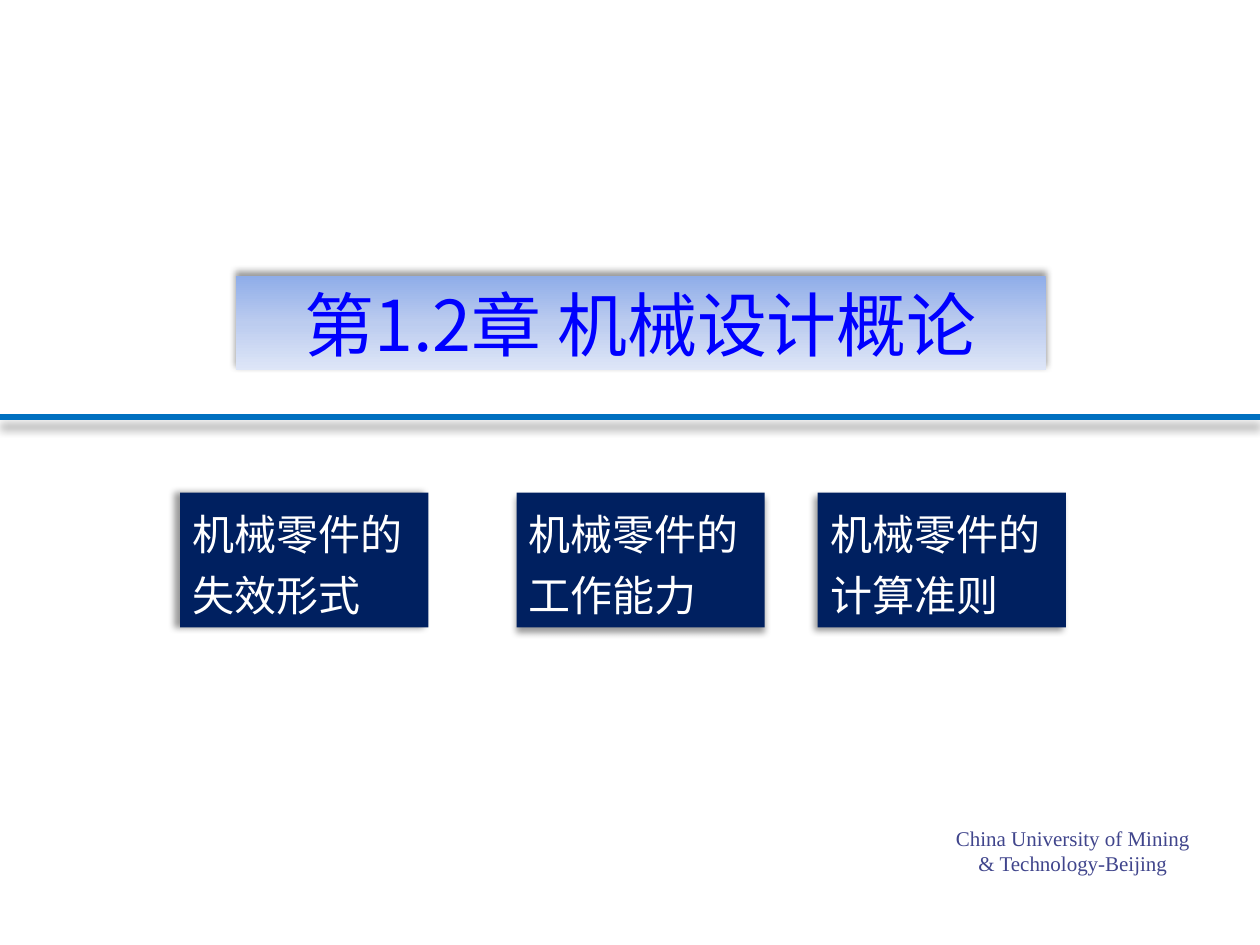
from lxml import etree
from copy import deepcopy
from pptx import Presentation
from pptx.dml.color import RGBColor
from pptx.enum.shapes import MSO_CONNECTOR, MSO_SHAPE
from pptx.enum.text import MSO_ANCHOR, PP_ALIGN
from pptx.oxml.ns import qn
from pptx.util import Inches, Pt

RECTANGLE = MSO_SHAPE.RECTANGLE
STRAIGHT = MSO_CONNECTOR.STRAIGHT
LEFT, CENTER = PP_ALIGN.LEFT, PP_ALIGN.CENTER
TOP, MIDDLE = MSO_ANCHOR.TOP, MSO_ANCHOR.MIDDLE
CJK_FONT = "Noto Sans CJK SC"
LATIN_FONT = "Times New Roman"


def color(value):
    return RGBColor.from_string(value)


def add_shadow(element, blur, distance, angle):
    effects = etree.SubElement(element._element.spPr, qn("a:effectLst"))
    shadow = etree.SubElement(
        effects, qn("a:outerShdw"), blurRad=str(Pt(blur)), dist=str(Pt(distance)),
        dir=str(angle * 60000), rotWithShape="0")
    black = etree.SubElement(shadow, qn("a:srgbClr"), val="000000")
    etree.SubElement(black, qn("a:alpha"), val="40000")


def write_text(holder, text, size=24, font=CJK_FONT, ink="FFFFFF",
               align=LEFT, anchor=TOP, spacing=None):
    frame = holder.text_frame
    frame.word_wrap = True
    frame.vertical_anchor = anchor
    frame.text = text
    for paragraph in frame.paragraphs:
        paragraph.alignment = align
        paragraph.line_spacing = spacing
        for run in paragraph.runs:
            run.font.size = Pt(size)
            run.font.name = font
            run.font.color.rgb = color(ink)
            etree.SubElement(run._r.get_or_add_rPr(), qn("a:ea"), typeface=font)


def add_panel(slide, left, top, width, height, shadow_angle):
    panel = slide.shapes.add_shape(
        RECTANGLE, Inches(left), Inches(top), Inches(width), Inches(height))
    panel.line.fill.background()
    add_shadow(panel, 4, 3, shadow_angle)
    return panel


def fill_gradient(panel, stops):
    panel.fill.gradient()
    panel.fill.gradient_angle = 270
    last_stop = panel._element.spPr.findall(".//" + qn("a:gs"))[-1]
    last_stop.addnext(deepcopy(last_stop))
    for stop, (position, value) in zip(panel.fill.gradient_stops, stops):
        stop.position = position
        stop.color.rgb = color(value)


def add_title(slide, text):
    title = add_panel(slide, 1.87, 2.19, 6.43, 0.75, 270)
    fill_gradient(title, [(0, "8FADE9"), (0.5, "BCCCEF"), (1, "DEE6F7")])
    write_text(title, text, size=40, ink="0000FF", align=CENTER, anchor=MIDDLE)


def add_divider(slide, y):
    divider = slide.shapes.add_connector(
        STRAIGHT, Inches(0), Inches(y), Inches(10), Inches(y))
    divider.line.color.rgb = color("0070C0")
    divider.line.width = Pt(3)
    add_shadow(divider, 5, 5, 90)


def add_footer(slide, text):
    footer = slide.shapes.add_textbox(
        Inches(7.48), Inches(6.5), Inches(2.07), Inches(0.33))
    write_text(footer, text, size=12, font=LATIN_FONT, ink="40458C", align=CENTER)


def add_topic(slide, left, topic, shadow_angle):
    card = add_panel(slide, left, 3.91, 1.97, 1.07, shadow_angle)
    card.fill.solid()
    card.fill.fore_color.rgb = color("002060")
    write_text(card, f"机械零件的\n{topic}", spacing=1.2)


def main():
    deck = Presentation()
    deck.slide_width, deck.slide_height = Inches(10), Inches(7.5)
    slide = deck.slides.add_slide(deck.slide_layouts[6])
    add_title(slide, "第1.2章 机械设计概论")
    add_divider(slide, 3.31)
    add_footer(slide, "China University of Mining & Technology-Beijing")
    topics = [(1.43, "失效形式", 180), (4.1, "工作能力", 90), (6.49, "计算准则", 135)]
    for left, topic, shadow_angle in topics:
        add_topic(slide, left, topic, shadow_angle)
    deck.save("out.pptx")


if __name__ == "__main__":
    main()
